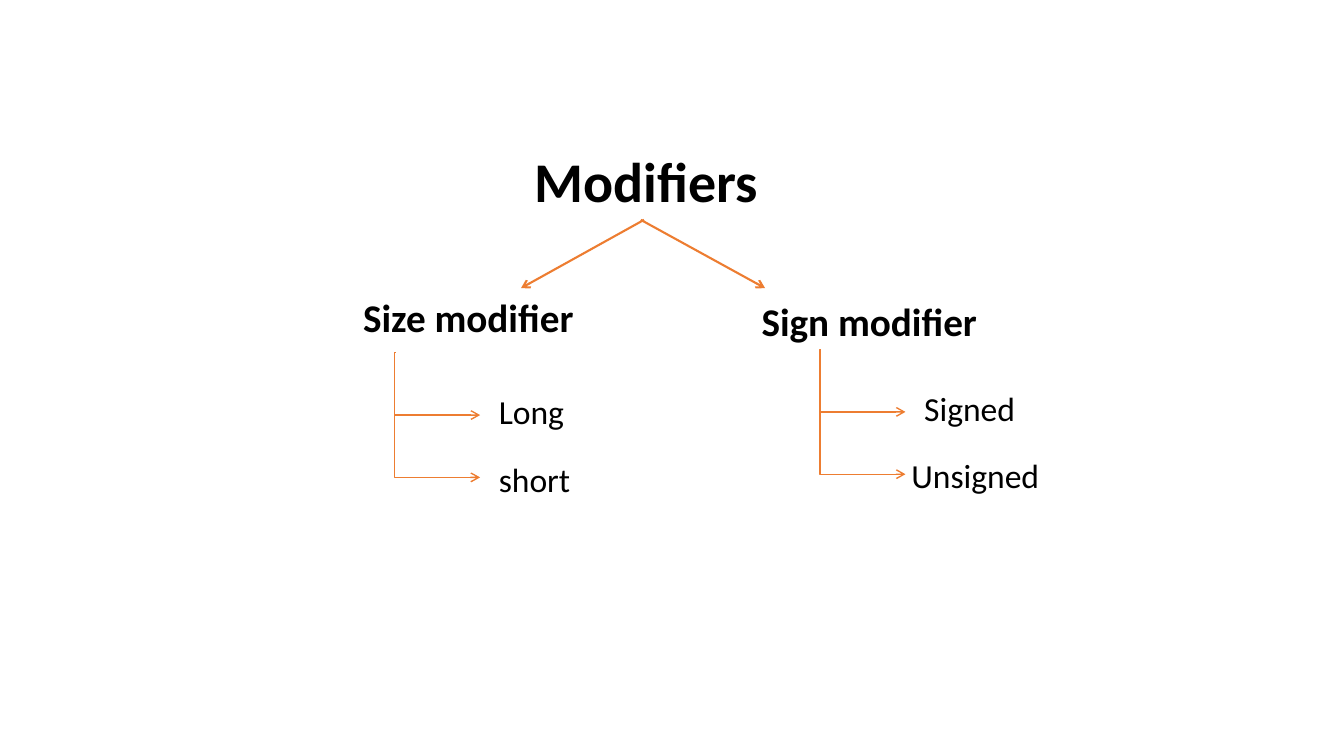
from dataclasses import dataclass
from lxml.etree import SubElement
from pptx import Presentation
from pptx.dml.color import RGBColor
from pptx.enum.shapes import MSO_CONNECTOR
from pptx.enum.text import MSO_ANCHOR, MSO_AUTO_SIZE, PP_ALIGN
from pptx.oxml.ns import qn
from pptx.shapes.base import BaseShape
from pptx.shapes.connector import Connector
from pptx.slide import Slide
from pptx.util import Cm, Pt

INK = "000000"
ORANGE = "ED7D31"
RUN, DROP = 2.14, 1.57
STEP = 1.7


@dataclass
class Label:
    text: str
    left: float
    width: float
    align: PP_ALIGN = PP_ALIGN.LEFT


@dataclass
class Branch:
    head: Label
    top: float
    left: float
    start: float
    items: list[Label]


BRANCHES = [
    Branch(Label("Size modifier", 8.89, 5.82, PP_ALIGN.CENTER), 7.26, 9.96, 8.89,
           [Label("Long", 12.32, 2.18), Label("short", 12.32, 2.34)]),
    Branch(Label("Sign modifier", 18.92, 5.97, PP_ALIGN.CENTER), 7.37, 20.68, 8.81,
           [Label("Signed", 23.04, 2.82),
            Label("Unsigned", 22.68, 3.76, PP_ALIGN.RIGHT)]),
]


def color(code: str) -> RGBColor:
    return RGBColor.from_string(code)


def write(shape: BaseShape, text: str, *, size: float, bold: bool = False,
          align: PP_ALIGN = PP_ALIGN.LEFT) -> None:
    frame = shape.text_frame
    frame.word_wrap = False
    frame.auto_size = MSO_AUTO_SIZE.SHAPE_TO_FIT_TEXT
    frame.vertical_anchor = MSO_ANCHOR.TOP
    para = frame.paragraphs[0]
    para.alignment = align
    run = para.add_run()
    run.text = text
    font = run.font
    font.name, font.size, font.bold = "Calibri", Pt(size), bold
    font.color.rgb = color(INK)


def label(slide: Slide, item: Label, top: float, high: float, size: float,
          bold: bool = False) -> None:
    box = slide.shapes.add_textbox(Cm(item.left), Cm(top), Cm(item.width), Cm(high))
    write(box, item.text, size=size, bold=bold, align=item.align)


def arrow(slide: Slide, x: float, y: float, to_x: float, to_y: float, width: float,
          kind: MSO_CONNECTOR = MSO_CONNECTOR.STRAIGHT) -> Connector:
    line = slide.shapes.add_connector(kind, Cm(x), Cm(y), Cm(to_x), Cm(to_y))
    line.line.color.rgb = color(ORANGE)
    line.line.width = Pt(width)
    props = line._element.spPr
    SubElement(props.find(qn("a:ln")), qn("a:tailEnd"), type="arrow")
    SubElement(props, qn("a:effectLst"))
    return line


def elbow(slide: Slide, x: float, y: float) -> None:
    line = arrow(slide, x, y, x + RUN, y + DROP, 1, MSO_CONNECTOR.ELBOW)
    shape = line._element.spPr.find(qn("a:prstGeom"))
    SubElement(shape.find(qn("a:avLst")), qn("a:gd"), name="adj1", fmla="val -800")


def draw(slide: Slide, branch: Branch) -> None:
    label(slide, branch.head, branch.top, 1.45, 28, True)
    for row, item in enumerate(branch.items):
        elbow(slide, branch.left, branch.start + row * DROP)
        label(slide, item, branch.start + 0.84 + row * STEP, 1.27, 24)


def main() -> None:
    deck = Presentation()
    deck.slide_width, deck.slide_height = Cm(33.87), Cm(19.05)
    slide = deck.slides.add_slide(deck.slide_layouts[5])
    title = slide.shapes.title
    title.left, title.top = Cm(13.18), Cm(3.56)
    title.width, title.height = Cm(6.22), Cm(1.96)
    write(title, "Modifiers", size=40, bold=True, align=PP_ALIGN.CENTER)
    for x, to_x in ((16.15, 19.28), (16.23, 13.13)):
        arrow(slide, x, 5.54, to_x, 7.26, 1.5)
    for branch in BRANCHES:
        draw(slide, branch)
    deck.save("out.pptx")


if __name__ == "__main__":
    main()
